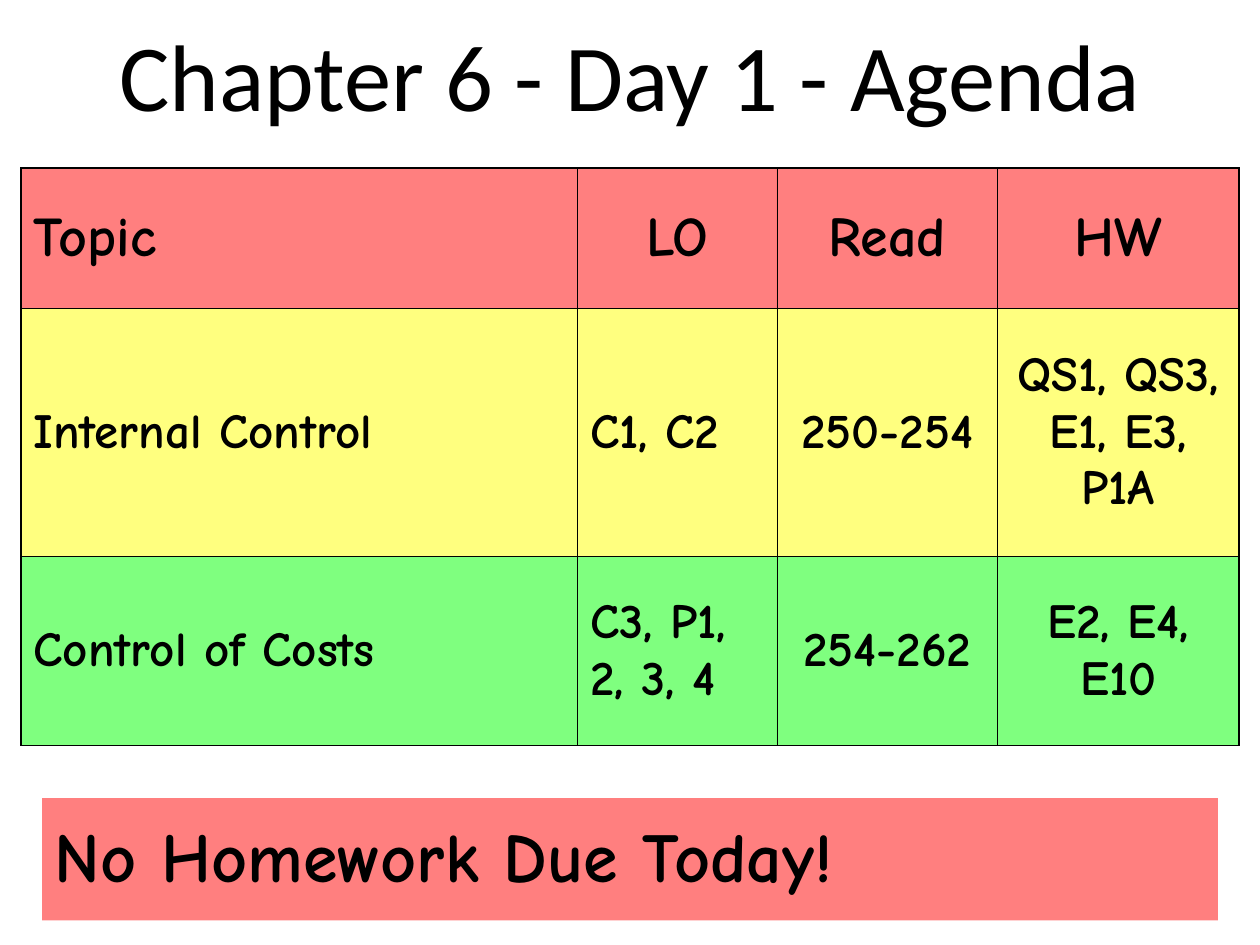
import dataclasses

import lxml.etree
import pptx
import pptx.dml.color
import pptx.enum.text
import pptx.oxml.ns
import pptx.util

Pt = pptx.util.Pt
Align = pptx.enum.text.PP_ALIGN
Anchor = pptx.enum.text.MSO_ANCHOR


@dataclasses.dataclass(frozen=True)
class Theme:
    """Colours, fonts, type sizes and line widths of the slide."""
    ink: str = "000000"
    red: str = "FF0000"
    gold: str = "FFFF00"
    green: str = "00FF00"
    head: str = "Calibri"
    body: str = "Comic Neue"
    title: int = 54
    label: int = 32
    text: int = 28
    note: int = 40
    thick: float = 1.08
    thin: float = 0.45
    alpha: int = 50


LOOK = Theme()


def node(parent, tag, **attrs):
    """Append one DrawingML element to its parent."""
    return lxml.etree.SubElement(parent, pptx.oxml.ns.qn(tag), attrs)


def style(para, face, size, bold, align):
    """Set the font and alignment of a paragraph."""
    font = para.font
    font.name, font.size, font.bold = face, Pt(size), bold
    font.color.rgb = pptx.dml.color.RGBColor.from_string(LOOK.ink)
    para.alignment = align


def tint(cell, color):
    """Fill a cell with a half-transparent colour."""
    cell.fill.solid()
    cell.fill.fore_color.rgb = pptx.dml.color.RGBColor.from_string(color)
    props = cell._tc.get_or_add_tcPr()
    fill = props.find(pptx.oxml.ns.qn("a:solidFill"))
    node(fill[0], "a:alpha", val=str(LOOK.alpha * 1000))


def edge(cell, widths):
    """Draw the left, right, top and bottom lines; zero width means none."""
    props = cell._tc.get_or_add_tcPr()
    for side, width in zip("LRTB", widths):
        line = node(props, "a:ln" + side, w=str(int(Pt(width))))
        if width:
            node(node(line, "a:solidFill"), "a:srgbClr", val=LOOK.ink)
        else:
            node(line, "a:noFill")


def add_title(slide, text):
    """Place the title across the top of the slide."""
    box = slide.shapes.title
    box.left, box.top, box.width, box.height = Pt(0), Pt(6), Pt(720), Pt(72)
    frame = box.text_frame
    frame.text = text
    frame.vertical_anchor = Anchor.TOP
    frame.auto_size = pptx.enum.text.MSO_AUTO_SIZE.SHAPE_TO_FIT_TEXT
    style(frame.paragraphs[0], LOOK.head, LOOK.title, False, Align.CENTER)


def add_grid(slide, left, top, cols, rows, outer, inner):
    """Add a table of (height, colour, size, entries, alignments) rows."""
    high = sum(row[0] for row in rows)
    frame = slide.shapes.add_table(len(rows), len(cols), Pt(left), Pt(top),
                                   Pt(sum(cols)), Pt(high))
    table = frame.table
    table.first_row = table.horz_banding = False
    for col, width in zip(table.columns, cols):
        col.width = Pt(width)
    for r, (height, color, size, words, aligns) in enumerate(rows):
        table.rows[r].height = Pt(height)
        for c, (word, align) in enumerate(zip(words, aligns)):
            cell = table.cell(r, c)
            cell.text = word
            cell.vertical_anchor = Anchor.MIDDLE
            style(cell.text_frame.paragraphs[0], LOOK.body, size, True, align)
            ends = (c == 0, c == len(cols) - 1, r == 0, r == len(rows) - 1)
            edge(cell, [outer if end else inner for end in ends])
            tint(cell, color)


def main():
    """Build the agenda slide and save it."""
    deck = pptx.Presentation()
    deck.slide_width, deck.slide_height = Pt(720), Pt(540)
    slide = deck.slides.add_slide(deck.slide_layouts[5])
    add_title(slide, "Chapter 6 - Day 1 - Agenda")
    left, mid = Align.LEFT, Align.CENTER
    heads = (left, mid, mid, mid)
    items = (left, left, mid, mid)
    agenda = [
        (80, LOOK.red, LOOK.label, ("Topic", "LO", "Read", "HW"), heads),
        (142, LOOK.gold, LOOK.text,
         ("Internal Control", "C1, C2", "250-254", "QS1, QS3, E1, E3, P1A"),
         items),
        (108, LOOK.green, LOOK.text,
         ("Control of Costs", "C3, P1, 2, 3, 4", "254-262", "E2, E4, E10"),
         items),
    ]
    add_grid(slide, 12, 96, (318, 114, 126, 138), agenda,
             LOOK.thick, LOOK.thin)
    notice = [(70, LOOK.red, LOOK.note, ("No Homework Due Today!",), (left,))]
    add_grid(slide, 24, 456, (672,), notice, 0, 0)
    deck.save("out.pptx")


if __name__ == "__main__":
    main()
